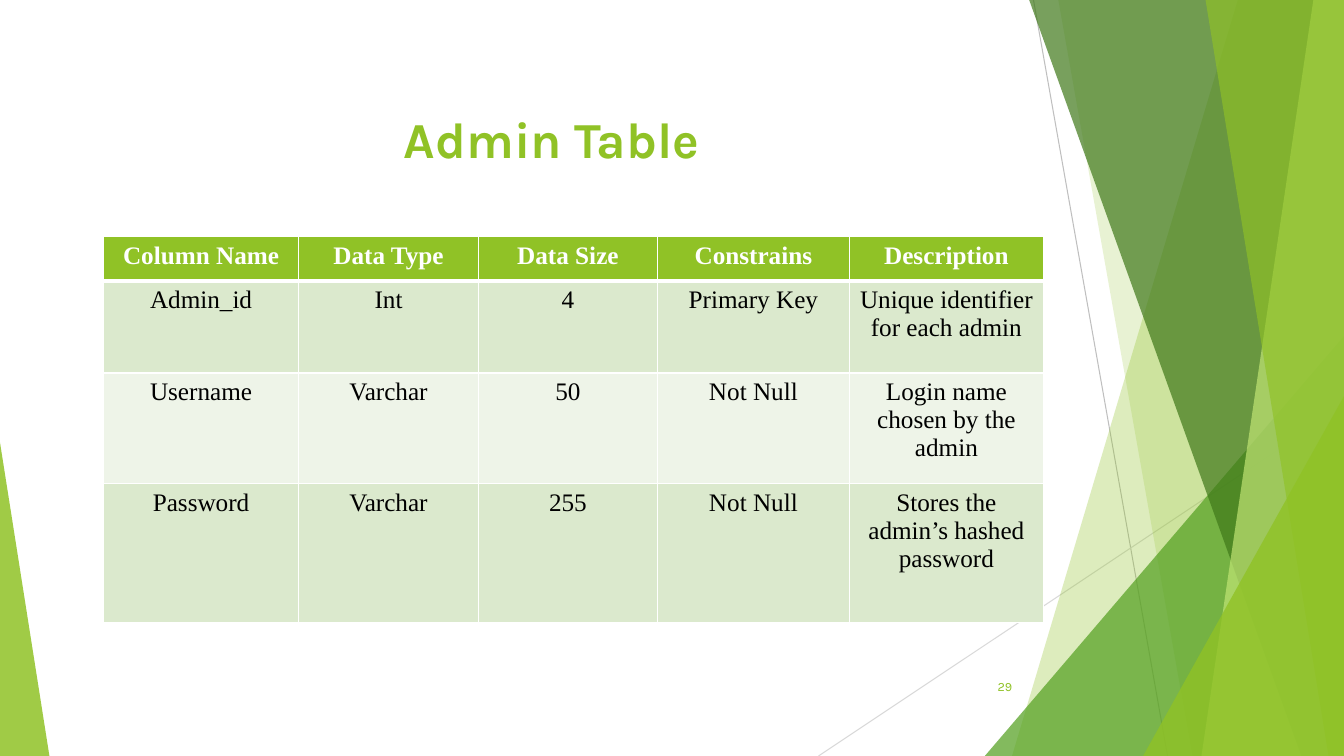
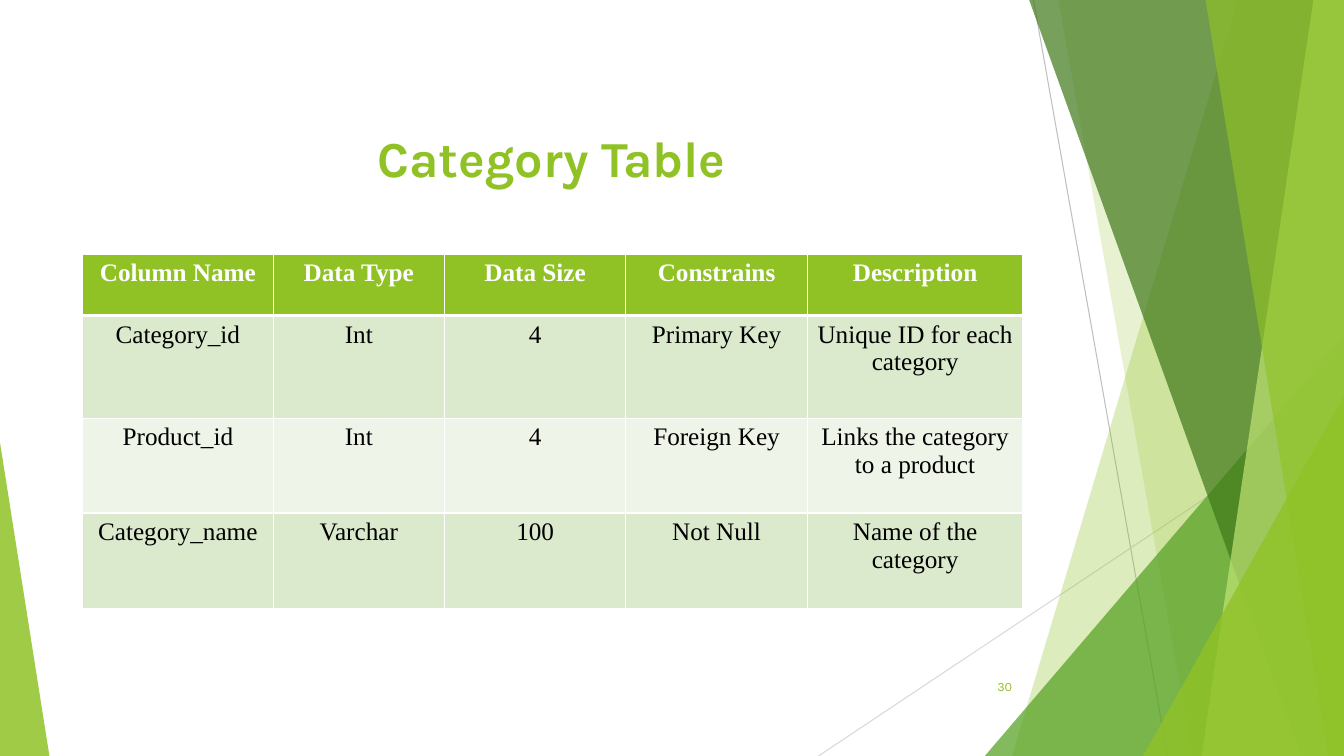
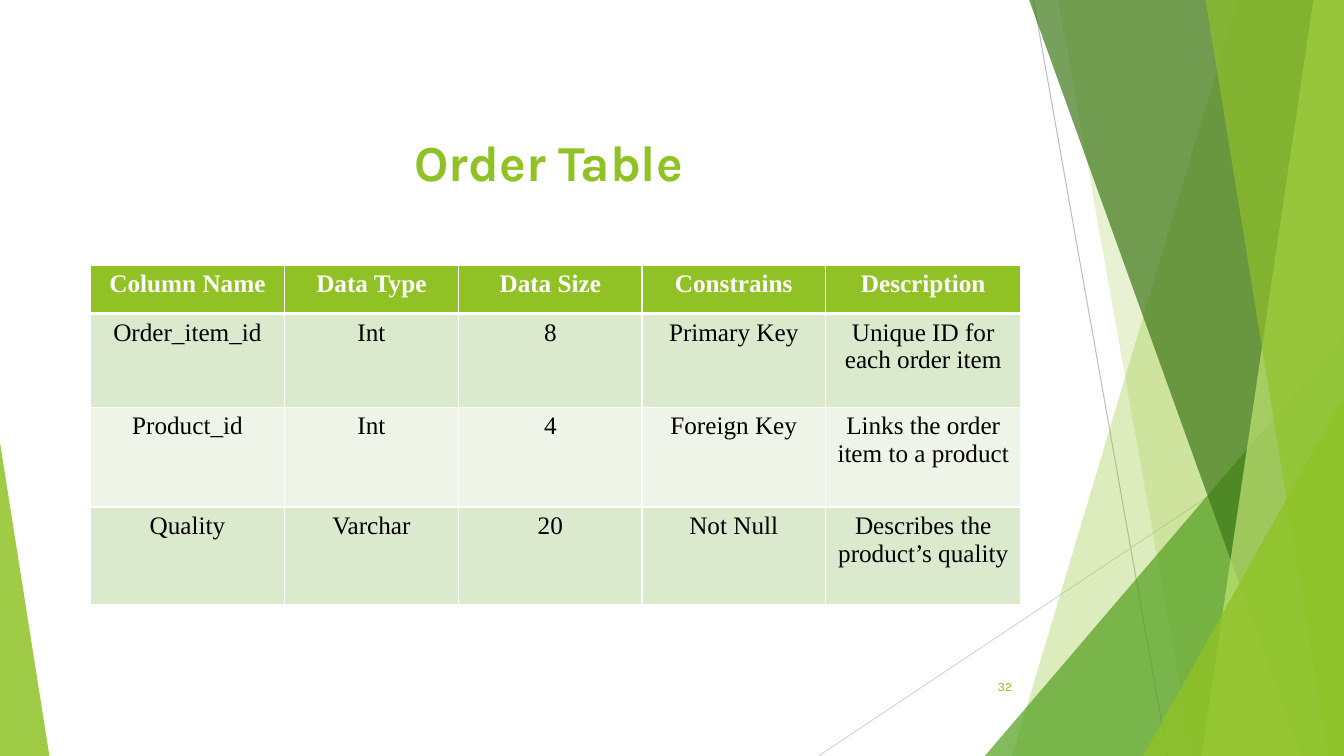
"""Build three slides that describe database tables."""
from dataclasses import dataclass

from lxml import etree
from pptx import Presentation
from pptx import util as u
from pptx.dml.color import RGBColor
from pptx.enum import shapes, text
from pptx.oxml import ns


@dataclass(frozen=True)
class Theme:
    """Colours, fonts and type sizes of the deck."""
    lime: str = "90C226"
    leaf: str = "54A021"
    pine: str = "3F7819"
    pale: str = "C0E474"
    white: str = "FFFFFF"
    black: str = "000000"
    grey: str = "BFBFBF"
    mist: str = "D9D9D9"
    bands: tuple = ("EEF4E8", "DBE9CD")
    sans: str = "Karla"
    serif: str = "Times New Roman"
    head: int = 36
    cell: int = 18
    note: int = 9


class Deck:
    """Slides on a grid of 40 columns and 22.5 rows."""

    cols, rows = 40, 22.5

    def __init__(self, theme):
        """Open an empty wide presentation."""
        self.theme = theme
        self.prs = Presentation()
        self.prs.slide_width, self.prs.slide_height = u.Inches(13.333), u.Inches(7.5)
        self.layout = self.prs.slide_layouts[5]
        self.slide = None

    def x(self, col):
        """Turn columns into a length."""
        return u.Emu(round(self.prs.slide_width * col / self.cols))

    def y(self, row):
        """Turn rows into a length."""
        return u.Emu(round(self.prs.slide_height * row / self.rows))

    def box(self, left, top, width, height):
        """Turn a grid box into lengths."""
        return self.x(left), self.y(top), self.x(width), self.y(height)

    def page(self):
        """Start a slide; the first one also fills the layout."""
        self.slide = self.prs.slides.add_slide(self.layout)
        if len(self.prs.slides) == 1:
            self.back()

    def back(self):
        """Draw the shared facets and move them to the layout."""
        t = self.theme
        self.rule(30.76, 0, 34.75, 22.5, t.grey)
        self.rule(40, 12.08, 24.36, 22.5, t.mist)
        self.facet(36.84, 30.12, t.lime, 30)
        self.facet(31.5, 35.49, t.lime, 20)
        self.wedge((29.31, 10, 10.69, 12.5), 1, t.leaf, 72)
        self.facet(30.63, 38.73, t.pine, 70)
        self.facet(39.09, 35.76, t.pale, 70)
        self.facet(35.88, 39.54, t.lime, 65)
        self.wedge((34.02, 11.79, 5.98, 10.71), 1, t.lime, 80)
        self.wedge((0, 13.17, 1.47, 9.33), 0, t.lime, 85)
        drawn = [s for s in self.slide.shapes if not s.is_placeholder]
        for i, shape in enumerate(drawn):
            shape.element.xpath(".//p:cNvPr")[0].set("id", str(100 + i))
            self.layout.shapes.element.insert(2 + i, shape.element)

    def rule(self, x1, y1, x2, y2, hue):
        """Draw a thin line."""
        line = self.slide.shapes.add_connector(
            shapes.MSO_CONNECTOR.STRAIGHT, self.x(x1), self.y(y1), self.x(x2), self.y(y2))
        line.line.color.rgb = RGBColor.from_string(hue)
        line.line.width = u.Pt(0.75)
        etree.SubElement(line.element.spPr, ns.qn("a:effectLst"))

    def facet(self, top, foot, hue, alpha):
        """Fill from a slanted edge to the right side of the slide."""
        free = self.slide.shapes.build_freeform(self.x(top), 0)
        free.add_line_segments([
            (self.x(self.cols), 0),
            (self.x(self.cols), self.y(self.rows)),
            (self.x(foot), self.y(self.rows))])
        self.tint(free.convert_to_shape(), hue, alpha)

    def wedge(self, box, tip, hue, alpha):
        """Draw a triangle whose tip lies at a share of its width."""
        shape = self.slide.shapes.add_shape(
            shapes.MSO_SHAPE.ISOSCELES_TRIANGLE, *self.box(*box))
        shape.adjustments[0] = tip
        self.tint(shape, hue, alpha)

    def tint(self, shape, hue, alpha):
        """Give a shape a clear fill with no line or shadow."""
        shape.shadow.inherit = False
        shape.fill.solid()
        shape.fill.fore_color.rgb = RGBColor.from_string(hue)
        tone = shape.element.xpath("./p:spPr/a:solidFill/a:srgbClr")[0]
        etree.SubElement(tone, ns.qn("a:alpha"), val=str(alpha * 1000))
        shape.line.fill.background()

    def label(self, frame, words, hue, align="CENTER", **form):
        """Put one formatted paragraph in a text frame."""
        frame.text = words
        para = frame.paragraphs[0]
        para.alignment = text.PP_ALIGN[align]
        font = para.runs[0].font
        for name, value in form.items():
            setattr(font, name, value)
        font.color.rgb = RGBColor.from_string(hue)

    def title(self, words, left, top, solid=False):
        """Move and format the title placeholder."""
        t, shape = self.theme, self.slide.shapes.title
        shape.left, shape.top, shape.width, shape.height = self.box(left, top, 20, 2.13)
        if solid:
            shape.fill.solid()
            shape.fill.fore_color.rgb = RGBColor.from_string(t.white)
            shape.line.color.rgb = RGBColor.from_string(t.white)
            shape.line.width = u.Pt(0.75)
        frame = shape.text_frame
        frame.vertical_anchor = text.MSO_ANCHOR.TOP
        frame.auto_size = text.MSO_AUTO_SIZE.SHAPE_TO_FIT_TEXT
        self.label(frame, words, t.lime, name=t.sans, size=u.Pt(t.head), bold=True)

    def number(self, words):
        """Set the page number."""
        t = self.theme
        frame = self.slide.shapes.add_textbox(*self.box(28.17, 19.83, 2.25, 1.2)).text_frame
        frame.word_wrap = True
        frame.vertical_anchor = text.MSO_ANCHOR.MIDDLE
        self.label(frame, words, t.lime, "RIGHT", name=t.sans, size=u.Pt(t.note))

    def table(self, left, top, wide, high, data):
        """Draw a table with a lime head and banded rows."""
        t = self.theme
        grid = self.slide.shapes.add_table(
            len(high), len(wide), *self.box(left, top, sum(wide), sum(high))).table
        for col, width in zip(grid.columns, wide):
            col.width = self.x(width)
        for r, (row, height) in enumerate(zip(grid.rows, high)):
            row.height = self.y(height)
            for cell, words in zip(row.cells, data[r]):
                cell.fill.solid()
                cell.fill.fore_color.rgb = RGBColor.from_string(t.bands[r % 2] if r else t.lime)
                self.label(cell.text_frame, words, t.black if r else t.white,
                           name=t.serif, size=u.Pt(t.cell), bold=r == 0)
                self.edge(cell, L=1, R=1, T=3 if r == 1 else 1, B=1 if r else 3)

    def edge(self, cell, **sides):
        """Give a cell white borders, in points by side."""
        props = cell._tc.get_or_add_tcPr()
        for i, (side, width) in enumerate(sides.items()):
            line = etree.Element(ns.qn(f"a:ln{side}"), w=str(int(u.Pt(width))))
            fill = etree.SubElement(line, ns.qn("a:solidFill"))
            etree.SubElement(fill, ns.qn("a:srgbClr"), val=self.theme.white)
            props.insert(i, line)


HEAD = ("Column Name", "Data Type", "Data Size", "Constrains", "Description")

PAGES = [
    dict(
        number="29",
        title=dict(words="Admin Table", left=6.42, top=3.06, solid=True),
        table=dict(
            left=3.09, top=7.05,
            wide=(5.79, 5.37, 5.31, 5.73, 5.76), high=(1.32, 2.73, 3.3, 4.14),
            data=(
                HEAD,
                ("Admin_id", "Int", "4", "Primary Key", "Unique identifier for each admin"),
                ("Username", "Varchar", "50", "Not Null", "Login name chosen by the admin"),
                ("Password", "Varchar", "255", "Not Null", "Stores the admin’s hashed password"),
            ))),
    dict(
        number="30",
        title=dict(words="Category Table", left=6.42, top=3.63),
        table=dict(
            left=2.46, top=7.56,
            wide=(5.67, 5.1, 5.4, 5.4, 6.42), high=(1.83, 3.06, 2.82, 2.85),
            data=(
                HEAD,
                ("Category_id", "Int", "4", "Primary Key", "Unique ID for each category"),
                ("Product_id", "Int", "4", "Foreign Key", "Links the category to a product"),
                ("Category_name", "Varchar", "100", "Not Null", "Name of the category"),
            ))),
    dict(
        number="32",
        title=dict(words="Order Table", left=6.33, top=3.75),
        table=dict(
            left=2.7, top=7.89,
            wide=(5.76, 5.19, 5.46, 5.46, 5.82), high=(1.44, 2.79, 2.97, 2.91),
            data=(
                HEAD,
                ("Order_item_id", "Int", "8", "Primary Key", "Unique ID for each order item"),
                ("Product_id", "Int", "4", "Foreign Key", "Links the order item to a product"),
                ("Quality", "Varchar", "20", "Not Null", "Describes the product’s quality"),
            ))),
]


def main():
    """Build and save the deck."""
    deck = Deck(Theme())
    for page in PAGES:
        deck.page()
        deck.number(page["number"])
        deck.title(**page["title"])
        deck.table(**page["table"])
    deck.prs.save("out.pptx")


if __name__ == "__main__":
    main()
